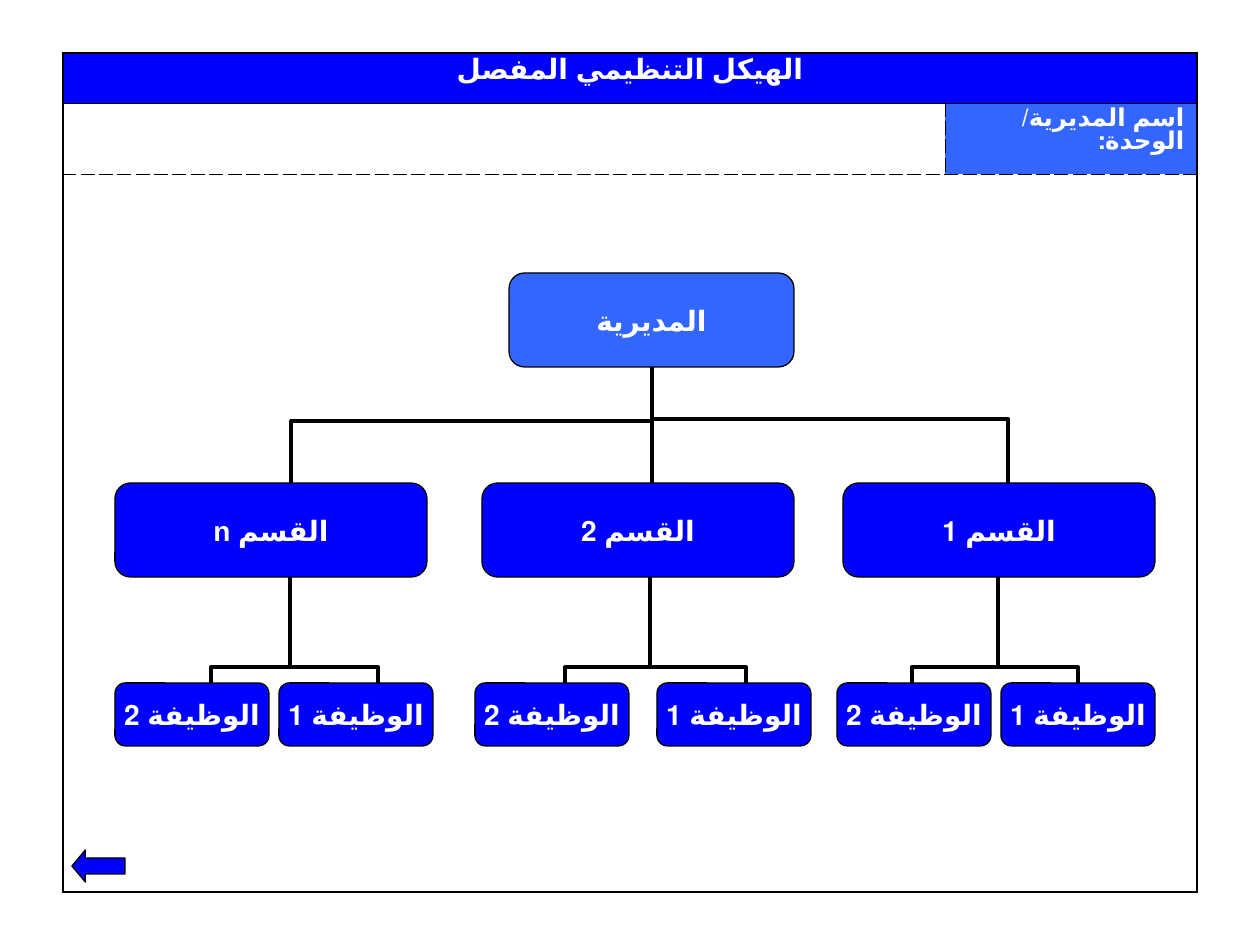
from dataclasses import dataclass

from lxml.etree import SubElement
from pptx import Presentation
from pptx.dml.color import RGBColor as RGB
from pptx.enum.lang import MSO_LANGUAGE_ID as LANG
from pptx.enum.shapes import MSO_CONNECTOR as CONN, MSO_SHAPE as SHAPE
from pptx.enum.text import MSO_ANCHOR as ANCHOR, PP_ALIGN as ALIGN
from pptx.oxml.ns import qn
from pptx.util import Emu, Pt

SCALE = 914400 / 126  # EMU per px


@dataclass(frozen=True)
class Theme:
    blue: str = "0000FF"
    light: str = "3366FF"
    white: str = "FFFFFF"
    black: str = "000000"
    font: str = "Arial"
    title: int = 16
    label: int = 14
    outline: float = 0.75
    link: float = 2.25
    frame: float = 1.08
    rule: float = 0.45


T = Theme()
OUTER, RULE, DASH = (T.frame, "solid"), (T.rule, "solid"), (T.rule, "dash")

# Organisation chart: shared sizes and levels, in px
ROOT = (509, 273, 285, 94)
UNIT_Y, UNIT_W, UNIT_H = 483, 312, 94
JOB_Y, JOB_W, JOB_H, JOB_BAR = 683, 154, 63, 667
ROOT_PORT = (652, 336)
# name, left, upper port x, bar y, lower port x, jobs as (number, left, port x)
UNITS = [
    ("القسم n", 115, 291, 421, 290, [(2, 115, 211), (1, 279, 378)]),
    ("القسم 2", 482, 644, 562, 650, [(2, 475, 565), (1, 657, 746)]),
    ("القسم 1", 843, 1008, 419, 998, [(2, 837, 912), (1, 1001, 1078)]),
]


def px(n):
    return Emu(round(n * SCALE))


def write(tf, text, size=T.title, align=ALIGN.CENTER, spacing=None):
    """Right-to-left bold white text."""
    p = tf.paragraphs[0]
    p.alignment = align
    p.line_spacing = spacing
    p._p.get_or_add_pPr().set("rtl", "1")
    r = p.add_run()
    r.text = text
    style = {"name": T.font, "size": Pt(size), "bold": True, "language_id": LANG.ARABIC}
    for name, value in style.items():
        setattr(r.font, name, value)
    r.font.color.rgb = RGB.from_string(T.white)


def add_box(shapes, kind, box, fill, text=None):
    sp = shapes.add_shape(kind, *map(px, box))
    sp.shadow.inherit = False
    sp.fill.solid()
    sp.fill.fore_color.rgb = RGB.from_string(fill)
    sp.line.color.rgb = RGB.from_string(T.black)
    sp.line.width = Pt(T.outline)
    if text:
        tf = sp.text_frame
        layout = {"word_wrap": False, "vertical_anchor": ANCHOR.MIDDLE}
        layout |= {f"margin_{side}": 0 for side in ("left", "top", "right", "bottom")}
        for name, value in layout.items():
            setattr(tf, name, value)
        write(tf, text)
    return sp


def add_elbow(shapes, start, end, bar_y):
    """Run up from start, across at bar_y, then up to end."""
    (x1, y1), (x2, y2) = start, end
    rise, run = y1 - y2, abs(x2 - x1)
    left, top = (x1 + x2 - rise) / 2, (y1 + y2 - run) / 2
    cn = shapes.add_connector(CONN.ELBOW, *map(px, (left, top, left + rise, top + run)))
    cn.line.color.rgb = RGB.from_string(T.black)
    cn.line.width = Pt(T.link)
    pr = cn._element.spPr
    SubElement(pr, qn("a:effectLst"))
    # A quarter turn makes the first leg vertical
    to_right = x2 > x1
    turn = {"rot": str((90 if to_right else 270) * 60000), "flipV": "1"}
    if to_right:
        turn["flipH"] = "1"
    for name, value in turn.items():
        pr.find(qn("a:xfrm")).set(name, value)
    ratio = round((y1 - bar_y) / rise * 100000)
    guides = pr.find(qn("a:prstGeom")).find(qn("a:avLst"))
    SubElement(guides, qn("a:gd"), name="adj1", fmla=f"val {ratio}")


def style_cell(cell, fill, left, right, top, bottom):
    if fill:
        cell.fill.solid()
        cell.fill.fore_color.rgb = RGB.from_string(fill)
    else:
        cell.fill.background()
    pr = cell._tc.get_or_add_tcPr()
    for i, (side, (width, dash)) in enumerate(zip("LRTB", (left, right, top, bottom))):
        ln = SubElement(pr, qn(f"a:ln{side}"), w=str(Pt(width)))
        SubElement(SubElement(ln, qn("a:solidFill")), qn("a:srgbClr"), val=T.black)
        SubElement(ln, qn("a:prstDash"), val=dash)
        pr.insert(i, ln)


def add_frame(shapes):
    widths, heights = (882, 252), (50, 71, 718)
    box = (63, 53, sum(widths), sum(heights))
    tbl = shapes.add_table(3, 2, *map(px, box)).table
    tbl.first_row = tbl.horz_banding = False
    for col, width in zip(tbl.columns, widths):
        col.width = px(width)
    for row, height in zip(tbl.rows, heights):
        row.height = px(height)
    for row in (0, 2):
        tbl.cell(row, 0).merge(tbl.cell(row, 1))
    # Fill, then left, right, top and bottom borders
    for col in (0, 1):
        style_cell(tbl.cell(0, col), T.blue, OUTER, OUTER, OUTER, RULE)
        style_cell(tbl.cell(2, col), None, OUTER, OUTER, DASH, OUTER)
    style_cell(tbl.cell(1, 0), T.white, OUTER, DASH, RULE, DASH)
    style_cell(tbl.cell(1, 1), T.light, DASH, OUTER, RULE, DASH)
    write(tbl.cell(0, 0).text_frame, "الهيكل التنظيمي المفصل", spacing=0.9)
    write(tbl.cell(1, 1).text_frame, "اسم المديرية/ الوحدة:", T.label, ALIGN.RIGHT, 0.9)


def add_org_chart(shapes):
    # Connectors lie behind the boxes
    unit_bottom = UNIT_Y + UNIT_H
    for _, _, upper_x, bar_y, lower_x, jobs in UNITS:
        add_elbow(shapes, (upper_x, unit_bottom), ROOT_PORT, bar_y)
        for _, _, port_x in jobs:
            add_elbow(shapes, (port_x, JOB_Y), (lower_x, unit_bottom), JOB_BAR)
    # Directorate, departments and jobs
    add_box(shapes, SHAPE.ROUNDED_RECTANGLE, ROOT, T.light, "المديرية")
    for name, x, _, _, _, jobs in UNITS:
        add_box(shapes, SHAPE.ROUNDED_RECTANGLE, (x, UNIT_Y, UNIT_W, UNIT_H), T.blue, name)
        for number, job_x, _ in jobs:
            add_box(shapes, SHAPE.ROUNDED_RECTANGLE, (job_x, JOB_Y, JOB_W, JOB_H),
                    T.blue, f"الوظيفة {number}")


def main():
    prs = Presentation()
    prs.slide_width, prs.slide_height = px(1260), px(945)
    shapes = prs.slides.add_slide(prs.slide_layouts[6]).shapes
    add_frame(shapes)
    # Back arrow
    arrow = add_box(shapes, SHAPE.LEFT_ARROW, (72, 850, 53, 32), T.blue)
    arrow.adjustments[1] = 0.42
    add_org_chart(shapes.add_group_shape().shapes)
    prs.save("out.pptx")


if __name__ == "__main__":
    main()
